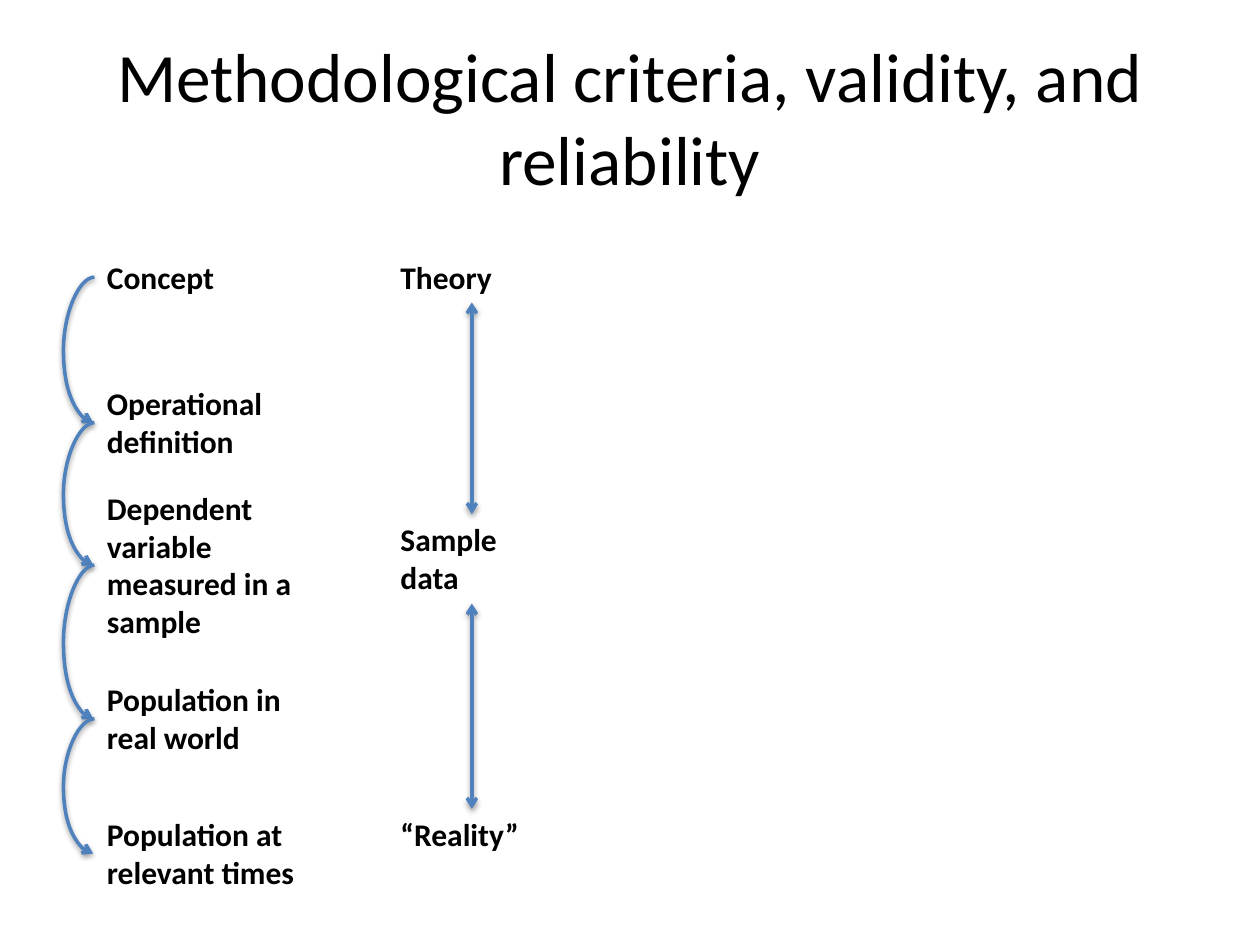
from itertools import pairwise

from lxml.etree import SubElement
from pptx import Presentation
from pptx.dml.color import RGBColor
from pptx.enum.shapes import MSO_CONNECTOR
from pptx.enum.text import MSO_ANCHOR, PP_ALIGN
from pptx.oxml.ns import qn
from pptx.util import Inches, Pt

COLORS = {"text": "000000", "arrow": "4F81BD", "shadow": "000000"}
FONT = "Calibri"

# Each box: text lines, top, width, height
CONCEPT_STEPS = [
    (["Concept"], 2, 1.33, 0.4),
    (["Operational definition"], 3, 1.67, 0.71),
    (["Dependent variable measured in a sample"], 3.83, 2, 1.31),
    (["Population in real world"], 5.35, 2, 0.71),
    (["Population at relevant times"], 6.42, 2.25, 0.71),
]
THEORY_LEVELS = [
    (["Theory"], 2, 1.33, 0.4),
    (["Sample", "data"], 4.08, 1.33, 0.71),
    (["“Reality”"], 6.42, 1.33, 0.4),
]


def add_text(s, lines, x, y, w, h, size=18, bold=True):
    tf = s.shapes.add_textbox(Inches(x), Inches(y), Inches(w), Inches(h)).text_frame
    tf.word_wrap = True
    for i, line in enumerate(lines):
        p = tf.paragraphs[0] if i == 0 else tf.add_paragraph()
        r = p.add_run()
        r.text = line
        r.font.name, r.font.size, r.font.bold = FONT, Pt(size), bold
        r.font.color.rgb = RGBColor.from_string(COLORS["text"])
    return tf


def add_arrow(s, kind, x1, y1, x2, y2, ends):
    """Add a shadowed connector with open arrowheads at the given line ends."""
    c = s.shapes.add_connector(kind, Inches(x1), Inches(y1), Inches(x2), Inches(y2))
    c.line.color.rgb = RGBColor.from_string(COLORS["arrow"])
    c.line.width = Pt(2)
    spPr = c._element.spPr
    ln = spPr.find(qn("a:ln"))
    for end in ends:
        SubElement(ln, qn(f"a:{end}"), type="arrow")
    effects = SubElement(spPr, qn("a:effectLst"))
    shadow = SubElement(effects, qn("a:outerShdw"), blurRad="40000", dist="20000",
                        dir="5400000", rotWithShape="0")
    color = SubElement(shadow, qn("a:srgbClr"), val=COLORS["shadow"])
    SubElement(color, qn("a:alpha"), val="38000")
    return c


def add_title(s, text, x, y, w, h):
    tf = add_text(s, [text], x, y, w, h, size=39.6, bold=False)
    tf.vertical_anchor = MSO_ANCHOR.MIDDLE
    tf.paragraphs[0].alignment = PP_ALIGN.CENTER


def add_concept_chain(s, x, steps, bulge=0.25):
    """Stack the steps and link their left middles with arcs."""
    for lines, y, w, h in steps:
        add_text(s, lines, x, y, w, h)
    middles = [y + h / 2 for _, y, _, h in steps]
    span = 0.01  # the bend is given as a share of the connector's width
    for start, end in pairwise(middles):
        c = add_arrow(s, MSO_CONNECTOR.CURVE, x, start, x - span, end, ["tailEnd"])
        geom = c._element.spPr.find(qn("a:prstGeom"))
        guides = geom.find(qn("a:avLst"))
        if guides is None:
            guides = SubElement(geom, qn("a:avLst"))
        SubElement(guides, qn("a:gd"), name="adj1",
                   fmla=f"val {round(bulge / span * 100000)}")


def add_theory_column(s, x, levels):
    """Stack the levels with a double arrow in each gap."""
    for lines, y, w, h in levels:
        add_text(s, lines, x, y, w, h)
    center = x + levels[0][2] / 2
    for (_, y, _, h), (_, below, _, _) in pairwise(levels):
        add_arrow(s, MSO_CONNECTOR.STRAIGHT, center, y + h, center, below,
                  ["headEnd", "tailEnd"])


def main():
    prs = Presentation()
    prs.slide_width, prs.slide_height = Inches(10), Inches(7.5)
    s = prs.slides.add_slide(prs.slide_layouts[6])
    add_title(s, "Methodological criteria, validity, and reliability", 0.5, 0.3, 9, 1.25)
    add_concept_chain(s, 0.75, CONCEPT_STEPS)
    add_theory_column(s, 3.08, THEORY_LEVELS)
    prs.save("out.pptx")


if __name__ == "__main__":
    main()
